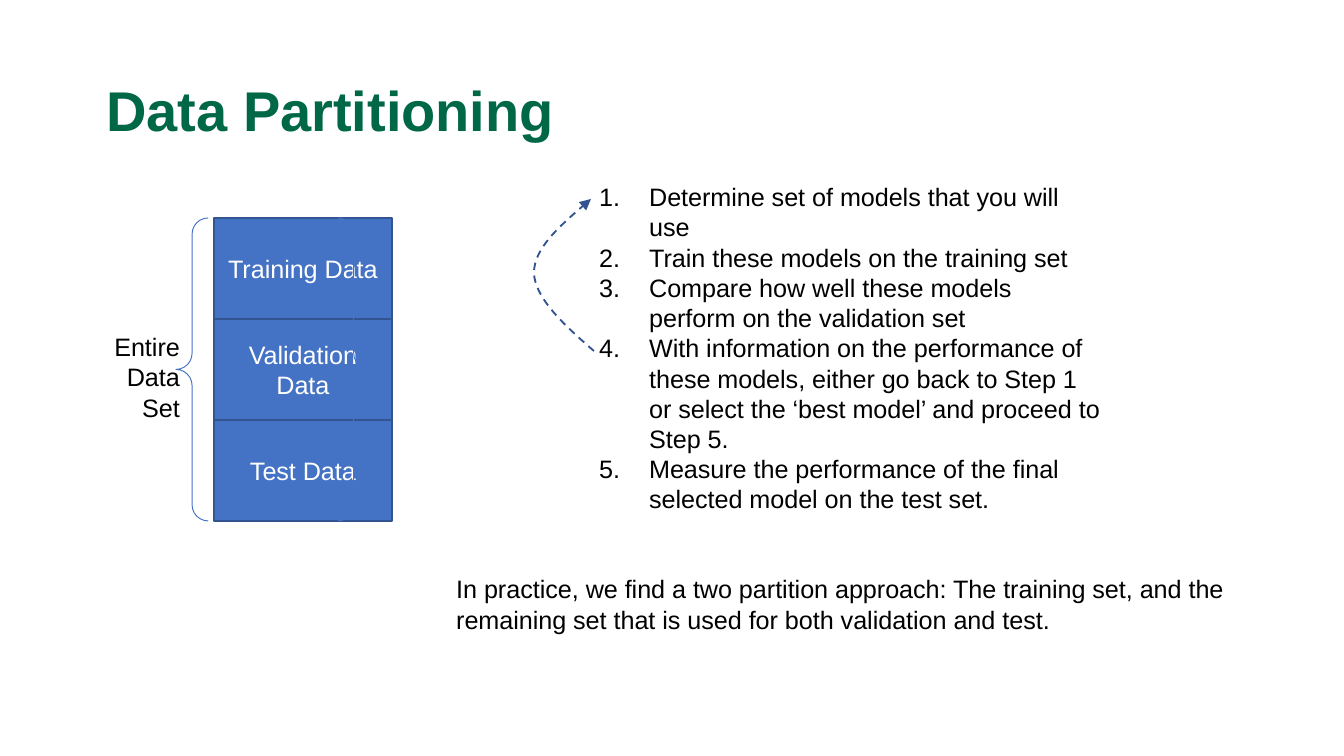
from lxml import etree
from pptx import Presentation
from pptx.dml.color import RGBColor
from pptx.enum.dml import MSO_LINE
from pptx.enum.shapes import MSO_SHAPE
from pptx.enum.text import MSO_ANCHOR, PP_ALIGN
from pptx.oxml.ns import qn
from pptx.util import Pt

LEFT, CENTER, RIGHT = PP_ALIGN.LEFT, PP_ALIGN.CENTER, PP_ALIGN.RIGHT
TOP, MIDDLE = MSO_ANCHOR.TOP, MSO_ANCHOR.MIDDLE
RECTANGLE, BRACES = MSO_SHAPE.RECTANGLE, MSO_SHAPE.DOUBLE_BRACE
DASH = MSO_LINE.DASH

GREEN = RGBColor(0x00, 0x67, 0x47)
BLUE = RGBColor(0x44, 0x72, 0xC4)
DARK_BLUE = RGBColor(0x32, 0x54, 0x91)
WHITE = RGBColor(0xFF, 0xFF, 0xFF)
BLACK = RGBColor(0x00, 0x00, 0x00)

# Content
TITLE = "Data Partitioning"
PARTITIONS = ["Training Data", "Validation Data", "Test Data"]
WHOLE = "Entire Data Set"
STEPS = [
    "Determine set of models that you will use",
    "Train these models on the training set",
    "Compare how well these models perform on the validation set",
    "With information on the performance of these models, either go back to "
    "Step 1 or select the ‘best model’ and proceed to Step 5.",
    "Measure the performance of the final selected model on the test set.",
]
PRACTICE = ("In practice, we find a two partition approach: The training set, and the "
            "remaining set that is used for both validation and test.")

# Lengths in px
PX = 914400 / 134.4
STACK_LEFT, STACK_TOP, STACK_WIDTH, PART_HEIGHT = 214, 218, 178, 101
BOX_MARGIN = 10
STEP_INDENT = 50
# Loop from step 4 back to step 1: start, then cubic segments
LOOP_START = (594, 351)
LOOP_CURVES = [
    [(564, 325), (535, 298), (534, 273)],
    [(534, 249), (563, 223), (591, 199)],
]


def px(n):
    return round(n * PX)


def write(frame, texts, size=13.5, color=BLACK, align=LEFT, anchor=TOP, bold=False,
          numbered=False):
    frame.word_wrap = True
    frame.vertical_anchor = anchor
    for i, text in enumerate(texts):
        paragraph = frame.add_paragraph() if i else frame.paragraphs[0]
        paragraph.text = text
        paragraph.alignment = align
        if numbered:
            properties = paragraph._p.get_or_add_pPr()
            properties.set("marL", str(px(STEP_INDENT)))
            properties.set("indent", str(-px(STEP_INDENT)))
            etree.SubElement(properties, qn("a:buFont"), typeface="+mj-lt")
            etree.SubElement(properties, qn("a:buAutoNum"), type="arabicPeriod")
        font = paragraph.font
        font.name, font.size, font.bold = "Arial", Pt(size), bold
        font.color.rgb = color


def add_text(box, texts, **style):
    frame = slide.shapes.add_textbox(*map(px, box)).text_frame
    write(frame, texts, **style)
    return frame


def outline(shape, color, width):
    shape.shadow.inherit = False
    shape.line.color.rgb = color
    shape.line.width = Pt(width)


prs = Presentation()
prs.slide_width, prs.slide_height = px(1344), px(756)
slide = prs.slides.add_slide(prs.slide_layouts[6])

# Title
title = add_text((93, 40, 1159, 146), [TITLE], size=30, color=GREEN, anchor=MIDDLE, bold=True)
title.paragraphs[0].line_spacing = 0.9

# Stack of partitions
for row, name in enumerate(PARTITIONS):
    part = slide.shapes.add_shape(
        RECTANGLE, px(STACK_LEFT), px(STACK_TOP + row * PART_HEIGHT),
        px(STACK_WIDTH), px(PART_HEIGHT))
    part.fill.solid()
    part.fill.fore_color.rgb = BLUE
    outline(part, DARK_BLUE, 1)
    part.text_frame.margin_left = part.text_frame.margin_right = px(BOX_MARGIN)
    write(part.text_frame, [name], color=WHITE, align=CENTER, anchor=MIDDLE)

# Braces and their label
braces = slide.shapes.add_shape(
    BRACES, px(176), px(STACK_TOP), px(194), px(len(PARTITIONS) * PART_HEIGHT))
braces.fill.background()
outline(braces, BLUE, 0.5)
add_text((70, 325, 123, 105), [WHOLE], align=RIGHT)

# Steps
add_text((586, 175, 532, 380), STEPS, numbered=True)

# Dashed loop: straight segments turned into cubic curves
builder = slide.shapes.build_freeform(*LOOP_START, scale=PX)
builder.add_line_segments([curve[-1] for curve in LOOP_CURVES], close=False)
loop = builder.convert_to_shape()
loop.fill.background()
outline(loop, DARK_BLUE, 1)
loop.line.dash_style = DASH
etree.SubElement(loop.line._get_or_add_ln(), qn("a:tailEnd"), type="triangle")
loop_left = min(x for x, y in [LOOP_START] + [curve[-1] for curve in LOOP_CURVES])
loop_top = LOOP_CURVES[-1][-1][1]
for segment, curve in zip(list(loop._element.iter(qn("a:lnTo"))), LOOP_CURVES):
    cubic = etree.Element(qn("a:cubicBezTo"))
    for x, y in curve:
        etree.SubElement(cubic, qn("a:pt"), x=str(x - loop_left), y=str(y - loop_top))
    segment.getparent().replace(segment, cubic)

# Remark on practice
add_text((443, 567, 862, 75), [PRACTICE])

prs.save("out.pptx")
